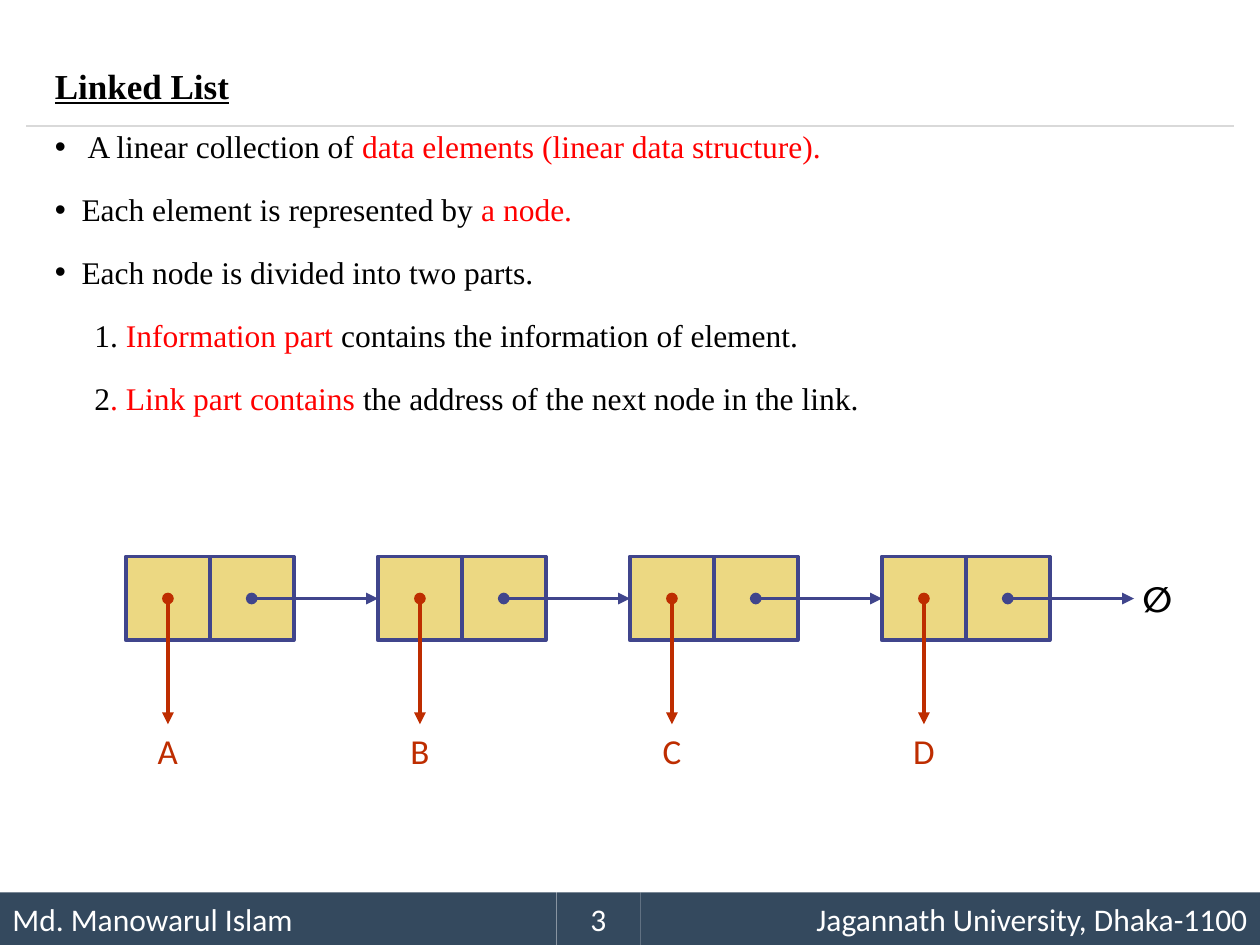
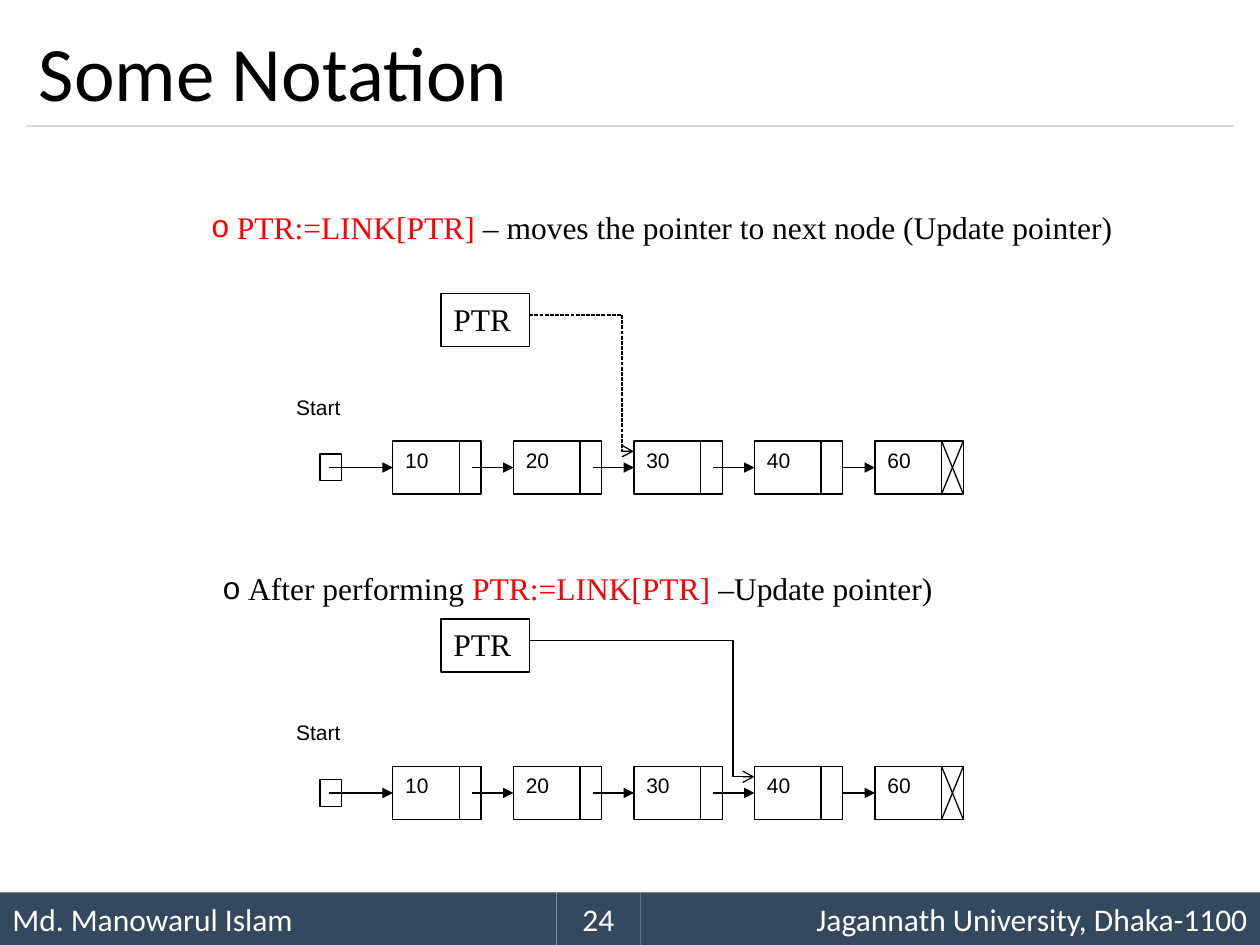
from dataclasses import dataclass

from pptx import Presentation
from pptx.dml.color import RGBColor
from pptx.enum.dml import MSO_LINE_DASH_STYLE as DASH
from pptx.enum.shapes import MSO_CONNECTOR as CXN, MSO_SHAPE as SHAPE
from pptx.enum.text import MSO_ANCHOR as ANCHOR, MSO_AUTO_SIZE as AUTOSIZE, PP_ALIGN as ALIGN
from pptx.oxml.ns import qn
from pptx.util import Cm, Pt
from lxml.etree import SubElement


@dataclass(frozen=True)
class Theme:
    black: str = "000000"
    white: str = "FFFFFF"
    red: str = "FF0000"
    band: str = "34495E"
    rule: str = "D9D9D9"
    cell: str = "ECD882"
    link: str = "40458C"
    info: str = "BE2D00"
    sans: str = "Calibri"
    serif: str = "Times New Roman"
    label: str = "Arial"
    title_size: int = 44
    head_size: int = 20
    body_size: int = 18
    label_size: int = 12
    thin: float = 0.75
    thick: float = 2.25


T = Theme()
K, R = T.black, T.red

# Content: list items are (bullet, left margin in cm, hanging in cm, runs)
AUTHOR, SCHOOL = "Md. Manowarul Islam", "Jagannath University, Dhaka-1100"

LIST_TITLE = "Linked List"
LIST_ITEMS = [
    ("•", 0.66, 0.66, [("A linear collection of ", K),
                       ("data elements (linear data structure).", R)]),
    ("•", 0.54, 0.54, [("Each element is represented by ", K), ("a node.", R)]),
    ("•", 0.54, 0.54, [("Each node is divided into two parts.", K)]),
    (None, 0.8, 0, [("1. ", K), ("Information part", R),
                    (" contains the information of element.", K)]),
    (None, 0.8, 0, [("2", K), (". Link part contains ", R),
                    ("the address of the next node in the link.", K)]),
]
LETTERS = ["A", "B", "C", "D"]

NOTATION_TITLE = "Some Notation"
VALUES = ["10", "20", "30", "40", "60"]
# (text left, text top, runs, index of the node PTR reaches, dash)
STEPS = [
    (4.01, 4.06, [("PTR:=LINK[PTR] ", R),
                  ("– moves the pointer to next node (Update pointer)", K)], 2, DASH.SQUARE_DOT),
    (4.24, 11.35, [("After performing ", K), ("PTR:=LINK[PTR] ", R),
                   ("–Update pointer)", K)], 3, None),
]


# Text helpers
def rgb(color):
    return RGBColor.from_string(color)


def add_run(p, text, size, color=K, font=T.sans, bold=False, underline=False):
    r = p.add_run()
    r.text = text
    f = r.font
    f.size, f.name, f.bold, f.underline = Pt(size), font, bold, underline
    f.color.rgb = rgb(color)


def place(sp, x, y, w, h):
    sp.left, sp.top, sp.width, sp.height = Cm(x), Cm(y), Cm(w), Cm(h)


def set_title(s, text, at, size, **style):
    sp = s.shapes.title
    place(sp, *at)
    tf = sp.text_frame
    tf.auto_size, tf.vertical_anchor = AUTOSIZE.NONE, ANCHOR.MIDDLE
    p = tf.paragraphs[0]
    p.alignment = ALIGN.LEFT
    add_run(p, text, size, **style)


def set_bullet(p, char, margin, hanging, color):
    pPr = p._p.get_or_add_pPr()
    pPr.set("marL", str(Cm(margin)))
    pPr.set("indent", str(-Cm(hanging)))
    if char is None:
        SubElement(pPr, qn("a:buNone"))
        return
    SubElement(SubElement(pPr, qn("a:buClr")), qn("a:srgbClr")).set("val", color)
    SubElement(pPr, qn("a:buFont")).set("typeface", T.label)
    SubElement(pPr, qn("a:buChar")).set("char", char)


def fill_list(sp, items, at, line_spacing=1.0, before=0):
    place(sp, *at)
    tf = sp.text_frame
    tf.auto_size, tf.word_wrap, tf.vertical_anchor = AUTOSIZE.NONE, True, ANCHOR.TOP
    for i, (char, margin, hanging, runs) in enumerate(items):
        p = tf.add_paragraph() if i else tf.paragraphs[0]
        set_bullet(p, char, margin, hanging, runs[0][1])
        p.alignment, p.line_spacing = ALIGN.LEFT, line_spacing
        p.space_before = Pt(before if i else 0)
        for text, color in runs:
            add_run(p, text, T.body_size, color, T.serif)


def label(s, text, x, y, w, h, size, align=ALIGN.CENTER, **style):
    tf = s.shapes.add_textbox(Cm(x), Cm(y), Cm(w), Cm(h)).text_frame
    tf.word_wrap = False
    p = tf.paragraphs[0]
    p.alignment = align
    add_run(p, text, size, **style)


# Shape helpers
def box(s, x, y, w, h, fill=T.white, line=K, width=T.thin):
    sp = s.shapes.add_shape(SHAPE.RECTANGLE, Cm(x), Cm(y), Cm(w), Cm(h))
    sp.shadow.inherit = False
    sp.fill.solid()
    sp.fill.fore_color.rgb = rgb(fill)
    if line:
        sp.line.color.rgb = rgb(line)
        sp.line.width = Pt(width)
    else:
        sp.line.fill.background()
    return sp


def write(sp, text, size, align=ALIGN.LEFT, anchor=ANCHOR.TOP, **style):
    tf = sp.text_frame
    tf.vertical_anchor = anchor
    p = tf.paragraphs[0]
    p.alignment = align
    add_run(p, text, size, **style)


def connect(s, x1, y1, x2, y2, color=K, width=T.thin, head=None, tail=None,
            dash=None, bend=None):
    kind = CXN.STRAIGHT if bend is None else CXN.ELBOW
    c = s.shapes.add_connector(kind, Cm(x1), Cm(y1), Cm(x2), Cm(y2))
    c.line.color.rgb = rgb(color)
    c.line.width = Pt(width)
    if dash:
        c.line.dash_style = dash
    ln = c.line._get_or_add_ln()
    for tag, end in (("a:headEnd", head), ("a:tailEnd", tail)):
        if end:
            SubElement(ln, qn(tag)).set("type", end)
    spPr = c._element.spPr
    SubElement(spPr, qn("a:effectLst"))
    if bend is not None:
        av = spPr.find(qn("a:prstGeom")).get_or_add_avLst()
        gd = SubElement(av, qn("a:gd"))
        gd.set("name", "adj1")
        gd.set("fmla", f"val {round(bend * 100000)}")
    return c


# Shared rule and footer
def new_slide(prs, layout, number):
    s = prs.slides.add_slide(prs.slide_layouts[layout])
    connect(s, 0.53, 2.54, 24.87, 2.54, T.rule)
    for text, x, w, align in ((AUTHOR, 0, 11.22, ALIGN.LEFT),
                              (SCHOOL, 12.91, 12.49, ALIGN.RIGHT),
                              (str(number), 11.22, 1.69, ALIGN.CENTER)):
        write(box(s, x, 17.99, w, 1.06, T.band, None), text, T.body_size,
              align, ANCHOR.MIDDLE, color=T.white)
    return s


# Linked list: definition and diagram
def linked_list_slide(prs):
    s = new_slide(prs, 1, 3)
    set_title(s, LIST_TITLE, (0.85, 1.12, 23.5, 1.2), T.head_size,
              font=T.serif, bold=True, underline=True)
    fill_list(s.placeholders[1], LIST_ITEMS, (0.85, 2.29, 23.5, 6.45), 1.2, 10)

    left, top, cell, pitch = 2.54, 11.22, 1.69, 5.08
    mid = top + cell / 2
    xs = [left + i * pitch for i in range(len(LETTERS))]
    info_cells = []
    for x in xs:
        info, _ = [box(s, x + k * cell, top, cell, cell, T.cell, T.link, T.thick)
                   for k in (0, 1)]
        info_cells.append(info)
    for i, (x, letter) in enumerate(zip(xs, LETTERS)):
        info_x = x + cell / 2
        connect(s, info_x, mid, info_x, 14.6, T.info, T.thick, "oval", "triangle")
        arrow = connect(s, info_x + cell, mid, x + pitch, mid, T.link, T.thick,
                        "oval", "triangle")
        if i + 1 < len(xs):
            arrow.end_connect(info_cells[i + 1], 1)
        label(s, letter, info_x - 0.5, 14.58, 1, 1.09, T.head_size, color=T.info)
    label(s, "∅", 22.78, 11.51, 1.1, 1.09, T.head_size, bold=True)


# One chain of nodes with PTR pointing at the target node
def chain(s, dy, target, dash):
    left, top, w, h, pitch, split = 7.92, 8.89 + dy, 1.78, 1.07, 2.43, 1.34
    mid, bottom = top + h / 2, top + h
    xs = [left + i * pitch for i in range(len(VALUES))]
    nodes = [box(s, x, top, w, h) for x in xs]
    for x, node, value in zip(xs, nodes, VALUES):
        write(node, value, T.label_size, font=T.label)
        connect(s, x + split, top, x + split, bottom)
    connect(s, xs[-1] + split, top, xs[-1] + w, bottom)
    connect(s, xs[-1] + w, top, xs[-1] + split, bottom)

    label(s, "Start", 5.72, 7.83 + dy, 2.2, 1.07, T.label_size, ALIGN.LEFT, font=T.label)
    box(s, 6.45, mid - 0.27, 0.43, 0.54)
    starts = [6.63] + [x + 1.6 for x in xs[:-1]]
    for x, node in zip(starts, nodes):
        arrow = connect(s, x, mid, x + 1, mid, tail="triangle")
        arrow.end_connect(node, 1)
    arrow.begin_connect(nodes[-2], 3)

    ptr_x, ptr_y = 8.89, 5.92 + dy
    write(box(s, ptr_x, ptr_y, w, h), "PTR", T.body_size, font=T.serif)
    end, gap = xs[target], 0.24 if dash else 0.43
    start = ptr_x + w
    connect(s, start, ptr_y + 0.43, end, top + 0.21, tail="arrow", dash=dash,
            bend=1 - gap / (end - start))


def notation_slide(prs):
    s = new_slide(prs, 3, 24)
    set_title(s, NOTATION_TITLE, (0.53, 0.3, 24.34, 2.24), T.title_size)
    for i, (x, y, runs, target, dash) in enumerate(STEPS):
        fill_list(s.placeholders[i + 1], [("o", 0.51, 0.51, runs)], (x, y, 20, 1.2))
        chain(s, i * 6.56, target, dash)


def main():
    prs = Presentation()
    prs.slide_width, prs.slide_height = Cm(25.4), Cm(19.05)
    linked_list_slide(prs)
    notation_slide(prs)
    prs.save("out.pptx")


if __name__ == "__main__":
    main()
